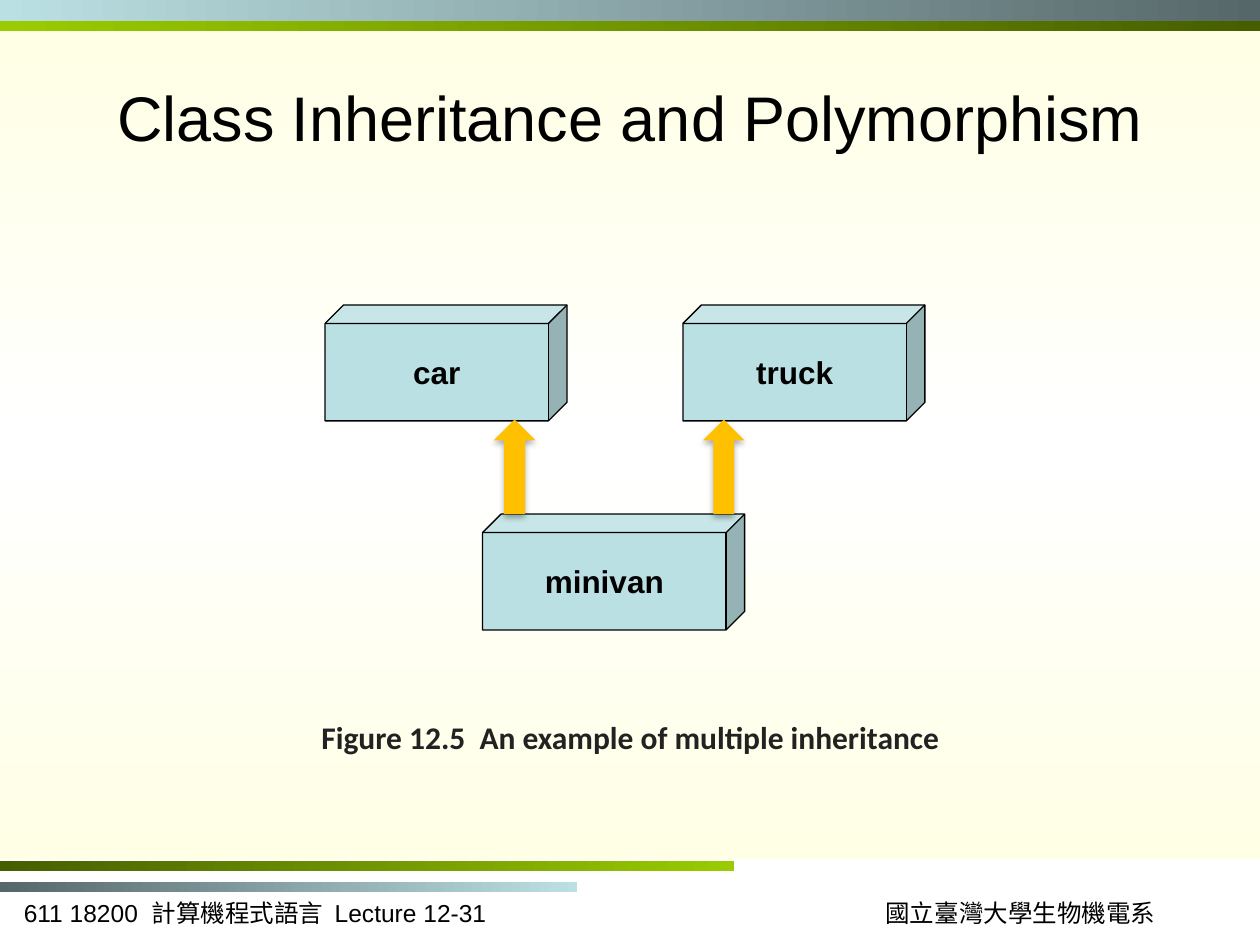
"""Build a slide on class inheritance with three cubes and two arrows."""
from lxml import etree
from pptx import Presentation
from pptx.dml.color import RGBColor
from pptx.enum.shapes import MSO_SHAPE
from pptx.enum.text import MSO_ANCHOR, PP_ALIGN
from pptx.oxml import parse_xml
from pptx.oxml.ns import nsdecls, qn
from pptx.util import Inches, Pt

RECT, CUBE, ARROW = MSO_SHAPE.RECTANGLE, MSO_SHAPE.CUBE, MSO_SHAPE.UP_ARROW
LEFT, CENTER = PP_ALIGN.LEFT, PP_ALIGN.CENTER
TOP, MIDDLE = MSO_ANCHOR.TOP, MSO_ANCHOR.MIDDLE

THEME = {
    "teal": "BBE0E3", "slate": "566769", "lime": "99CC00", "moss": "465E00",
    "cream": "FFFFE5", "white": "FFFFFF", "gold": "FFC000", "black": "000000",
    "title": dict(size=Pt(36), name="Arial", bold=False, color="000000"),
    "label": dict(size=Pt(18), name="Arial", bold=True, color="000000"),
    "figure": dict(size=Pt(18), name="Calibri", bold=True, color="222222"),
    "course": dict(size=Pt(14), name="Arial", bold=False, color="000000"),
    "school": dict(size=Pt(14), name="Times New Roman", bold=False, color="000000"),
}

TITLE = ("Class Inheritance and Polymorphism", (0.5, 0.3, 9, 1.25))
BANDS = [
    ((0, 0.16, 10, 0.09), ("lime", "moss"), 0),
    ((0, 0.25, 10, 6.57), ("cream", "white", "cream"), 90),
    ((0, 7, 4.58, 0.08), ("slate", "teal"), 0),
    ((0, 6.83, 5.83, 0.08), ("moss", "lime"), 0),
    ((0, 0, 10, 0.17), ("teal", "slate"), 0),
]
NOTES = [
    ("611 18200  計算機程式語言  Lecture 12-31", (0.09, 7.08, 4.75, 0.33), "course", LEFT),
    ("國立臺灣大學生物機電系", (6.92, 7.08, 2.36, 0.33), "school", CENTER),
    ("Figure 12.5  An example of multiple inheritance", (0.38, 5.65, 9.25, 0.4), "figure", CENTER),
]
CUBES = [("car", 2.58, 2.42, 1.92), ("truck", 5.42, 2.42, 1.92), ("minivan", 3.83, 4.08, 2.08)]
CUBE_H = 0.92
ARROWS = [3.92, 5.58]
ARROW_TOP, ARROW_W, ARROW_H = 3.33, 0.33, 0.75


def place(box):
    return [Inches(n) for n in box]


def write(shape, text, style, align=CENTER, anchor=MIDDLE):
    frame = shape.text_frame
    frame.word_wrap, frame.vertical_anchor = True, anchor
    line = frame.paragraphs[0]
    line.alignment = align
    run = line.add_run()
    run.text = text
    for key, value in THEME[style].items():
        if key == "color":
            run.font.color.rgb = RGBColor.from_string(value)
        else:
            setattr(run.font, key, value)


def draw(slide, kind, box, fill=None):
    shape = slide.shapes.add_shape(kind, *place(box))
    shape.shadow.inherit = False
    shape.line.fill.background()
    if fill:
        shape.fill.solid()
        shape.fill.fore_color.rgb = RGBColor.from_string(THEME[fill])
    return shape


def blend(shape, names, angle):
    shape.fill.gradient()
    shape.fill.gradient_angle = -angle % 360
    stops = shape.element.spPr.find(".//" + qn("a:gsLst"))
    for stop in list(stops):
        stops.remove(stop)
    for i, name in enumerate(names):
        spot = round(100000 * i / (len(names) - 1))
        stop = etree.SubElement(stops, qn("a:gs"), pos=str(spot))
        etree.SubElement(stop, qn("a:srgbClr"), val=THEME[name])


def shade(shape):
    effect = shape.element.spPr.find(qn("a:effectLst"))
    effect.append(parse_xml(
        f'<a:outerShdw {nsdecls("a")} blurRad="{Pt(3.5)}" dist="{Pt(2.2)}" dir="5400000" rotWithShape="0">'
        f'<a:srgbClr val="{THEME["black"]}"><a:alpha val="32000"/></a:srgbClr></a:outerShdw>'))


def main():
    deck = Presentation()
    deck.slide_width, deck.slide_height = Inches(10), Inches(7.5)
    slide = deck.slides.add_slide(deck.slide_layouts[5])

    for box, names, angle in BANDS:
        blend(draw(slide, RECT, box), names, angle)

    text, box = TITLE
    title = slide.shapes.title
    title.left, title.top, title.width, title.height = place(box)
    write(title, text, "title")
    slide.shapes.element.append(title.element)

    for text, box, style, align in NOTES:
        write(slide.shapes.add_textbox(*place(box)), text, style, align, TOP)

    for text, left, top, width in CUBES:
        cube = draw(slide, CUBE, (left, top, width, CUBE_H), "teal")
        cube.adjustments[0] = 0.16
        cube.line.color.rgb = RGBColor.from_string(THEME["black"])
        cube.line.width = Pt(0.75)
        write(cube, text, "label")

    for left in ARROWS:
        shade(draw(slide, ARROW, (left, ARROW_TOP, ARROW_W, ARROW_H), "gold"))

    deck.save("out.pptx")


if __name__ == "__main__":
    main()
